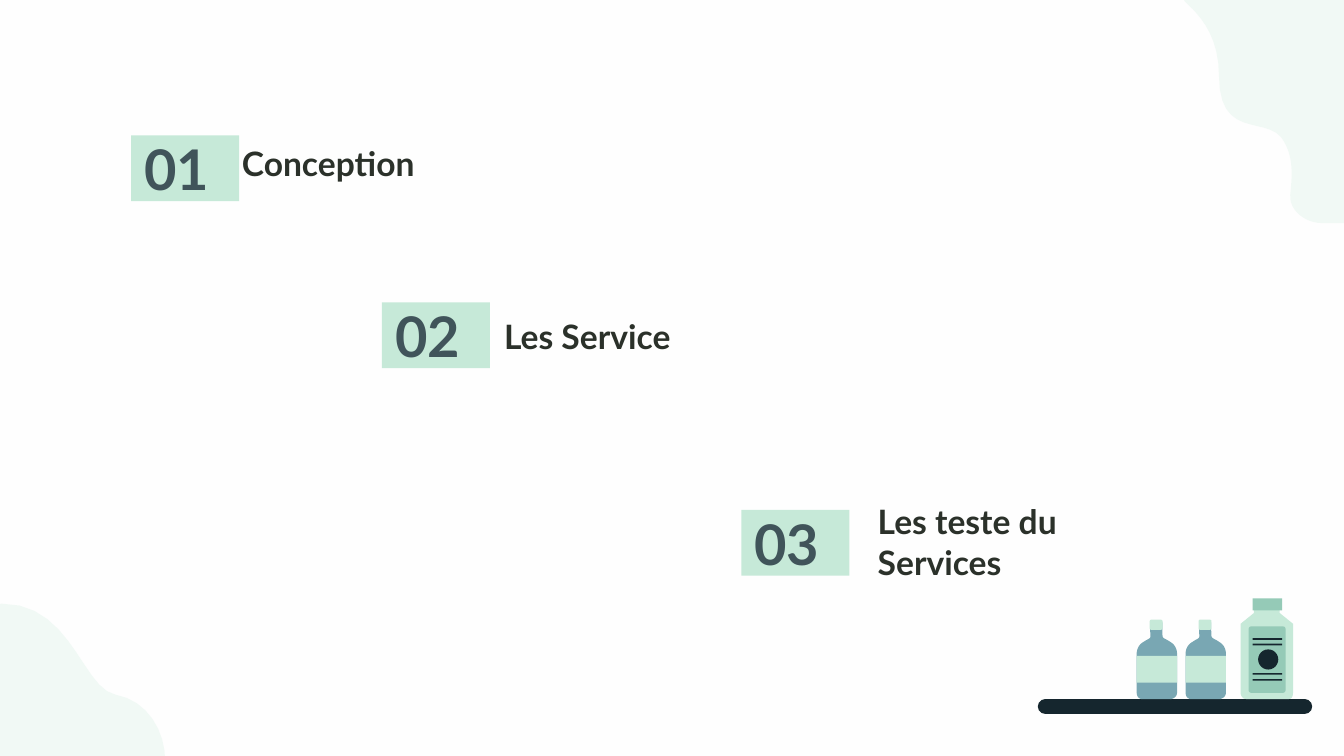
from lxml.etree import SubElement as Sub
from pptx import Presentation as Deck
from pptx.dml.color import RGBColor as Rgb
from pptx.enum.shapes import MSO_SHAPE as Kind
from pptx.enum.text import MSO_ANCHOR as Anchor, MSO_AUTO_SIZE as Fit, PP_ALIGN as Align
from pptx.oxml.ns import qn
from pptx.util import Pt

PAPER = Rgb(0xFE, 0xFE, 0xFE)
MINT = Rgb(0xC6, 0xE9, 0xD8)
SAGE = Rgb(0x95, 0xCA, 0xB7)
BLUE = Rgb(0x79, 0xA7, 0xB3)
NAVY = Rgb(0x15, 0x26, 0x2E)
SLATE = Rgb(0x40, 0x54, 0x5A)
INK = Rgb(0x2B, 0x31, 0x2A)
FONT = "Lato"
PAD = 7.2
STEPS = 12

LEFT_BLOB = [
    (-10, 324.7), (37.4, 314.6, 42.5, 368.6, 61.9, 372.2),
    (87.1, 376.6, 97.9, 411.8, 78.5, 433.4),
    (54, 460.8, -18.7, 444.2, -43.2, 414),
    (-56.2, 397.4, -65.5, 337, -10, 324.7),
]
RIGHT_BLOB = [
    (653, 40.3), (653, 74.2, 676.8, 62.6, 686.2, 73.4),
    (692.6, 82.1, 692.6, 91.4, 691.2, 104.4),
    (690.5, 113, 699.8, 119.5, 707.8, 119.5),
    (720, 119.5), (720, 0), (634.3, 0), (634.3, 2.2, 653, 12.2, 653, 40.3),
]
BOTTLE = [
    (7.2, 1.4), (7.2, 4.3), (7.2, 11.5, 8.6, 8.6, 3.2, 12.2),
    (0.7, 13.7, 0, 16.6, 0, 18), (0, 38.9), (0, 41, 0.7, 41.8, 2.2, 42.5),
    (18.7, 42.5), (20.5, 41.8, 21.6, 41, 21.6, 38.9), (21.6, 18),
    (21.6, 16.6, 20.9, 13.7, 18.4, 12.2),
    (13.2, 8.6, 13.9, 11.5, 13.7, 4.3), (13.7, 1.4),
]
JAR = [
    (7.2, 7.9), (7.2, 1.4), (20.9, 1.4), (20.9, 7.9), (28.1, 13.7),
    (28.1, 50.4), (28.1, 52.6, 27.4, 54, 25.9, 54), (2.9, 54),
    (1.4, 54, 0, 52.6, 0, 50.4), (0, 13.7),
]


def paint(shape, color):
    """Give a shape a flat fill with no line or shadow."""
    shape.shadow.inherit = False
    shape.fill.solid()
    shape.fill.fore_color.rgb = color
    shape.line.fill.background()
    return shape


def trace(path):
    """Turn corners and cubic curves into a list of points."""
    dots = [path[0]]
    for part in path[1:]:
        if len(part) == 2:
            dots.append(part)
            continue
        ends = dots[-1], part[:2], part[2:4], part[4:]
        for step in range(1, STEPS + 1):
            t = step / STEPS
            u = 1 - t
            mix = u**3, 3 * u * u * t, 3 * u * t * t, t**3
            dots.append(tuple(sum(m * e[i] for m, e in zip(mix, ends)) for i in (0, 1)))
    return dots


def draw(slide, path, color, left=0, top=0):
    """Draw a closed outline shifted to the given corner."""
    dots = [(Pt(left + x), Pt(top + y)) for x, y in trace(path)]
    pen = slide.shapes.build_freeform(*dots[0], scale=1.0)
    pen.add_line_segments(dots[1:], close=True)
    return paint(pen.convert_to_shape(), color)


def block(slide, kind, box, color, bend=None):
    """Add a flat preset shape."""
    shape = slide.shapes.add_shape(kind, *map(Pt, box))
    if bend is not None:
        shape.adjustments[0] = bend
    return paint(shape, color)


def blob(slide, path):
    """Add a pale corner blob."""
    shape = draw(slide, path, MINT)
    tint = shape.fill._xPr.find(qn("a:solidFill")).find(qn("a:srgbClr"))
    Sub(tint, qn("a:alpha")).set("val", "22000")


def bottle(slide, left, top):
    """Draw a small bottle with its cap and label."""
    draw(slide, BOTTLE, BLUE, left, top)
    block(slide, Kind.ROUNDED_RECTANGLE, (left + 6.9, top, 6.9, 5.4), MINT, 0.15)
    block(slide, Kind.RECTANGLE, (left, top + 19.4, 21.6, 14.4), MINT)


def jar(slide, left, top):
    """Draw the tall jar with its printed label."""
    draw(slide, JAR, MINT, left, top)
    block(slide, Kind.ROUNDED_RECTANGLE, (left + 4.3, top + 15.1, 19.8, 35.6), SAGE, 0.07)
    block(slide, Kind.RECTANGLE, (left + 6.5, top, 15.8, 6.5), SAGE)
    for gap in (21.4, 24.4, 40.1, 43.3):
        block(slide, Kind.RECTANGLE, (left + 6.5, top + gap, 15.8, 0.9), NAVY)
    block(slide, Kind.OVAL, (left + 9.4, top + 27.4, 10.8, 10.8), NAVY)


def shelf(slide, left, top, width, height):
    """Draw the shelf and all that stands on it."""
    base = top + height
    block(slide, Kind.ROUNDED_RECTANGLE, (left, base - 8, width, 8), NAVY, 0.5)
    for shift in (53, 79.2):
        bottle(slide, left + shift, base - 50.5)
    jar(slide, left + 108.6, base - 62)


def write(shape, box, text, size, color, anchor, foot=PAD):
    """Place a text shape and set its single bold run."""
    shape.left, shape.top, shape.width, shape.height = map(Pt, box)
    frame = shape.text_frame
    frame.word_wrap, frame.auto_size = True, Fit.NONE
    frame.vertical_anchor = anchor
    frame.margin_left = frame.margin_right = frame.margin_top = Pt(PAD)
    frame.margin_bottom = Pt(foot)
    para = frame.paragraphs[0]
    para.alignment = Align.LEFT
    para.space_before = para.space_after = Pt(0)
    props = para._p.get_or_add_pPr()
    props.set("marL", "0")
    props.set("indent", "0")
    Sub(props, qn("a:buNone"))
    run = para.add_run()
    run.text = text
    font = run.font
    font.name, font.size, font.bold = FONT, Pt(size), True
    font.color.rgb = color


def entry(badge, head, spot, box, mark, text, foot=PAD):
    """Fill a number badge and the heading beside it."""
    write(badge, (*spot, 57.9, 35.3), mark, 30, SLATE, Anchor.MIDDLE)
    badge.fill.solid()
    badge.fill.fore_color.rgb = MINT
    write(head, box, text, 18, INK, Anchor.BOTTOM, foot)


def main():
    """Build and save the slide."""
    deck = Deck()
    deck.slide_width, deck.slide_height = Pt(720), Pt(405)
    slide = deck.slides.add_slide(deck.slide_layouts[4])
    slide.background.fill.solid()
    slide.background.fill.fore_color.rgb = PAPER
    blob(slide, LEFT_BLOB)
    blob(slide, RIGHT_BLOB)
    shelf(slide, 556, 320.5, 147, 62)
    holds = slide.placeholders
    rows = [
        ((70.2, 72.5), (122.4, 67, 117.4, 38.2), "Conception", PAD),
        ((204.6, 162), (262.8, 162, 160.6, 57.6), "Les Service", PAD + 21.6),
        ((397.1, 273.1), (463, 261.4, 160.6, 57.6), "Les teste du Services", PAD),
    ]
    for num, (spot, box, text, foot) in enumerate(rows, 1):
        badge = slide.shapes.title if num == 1 else slide.shapes.add_textbox(0, 0, 0, 0)
        entry(badge, holds[num], spot, box, f"{num:02}", text, foot)
    spare = holds[4]._element
    spare.getparent().remove(spare)
    deck.save("out.pptx")


if __name__ == "__main__":
    main()
